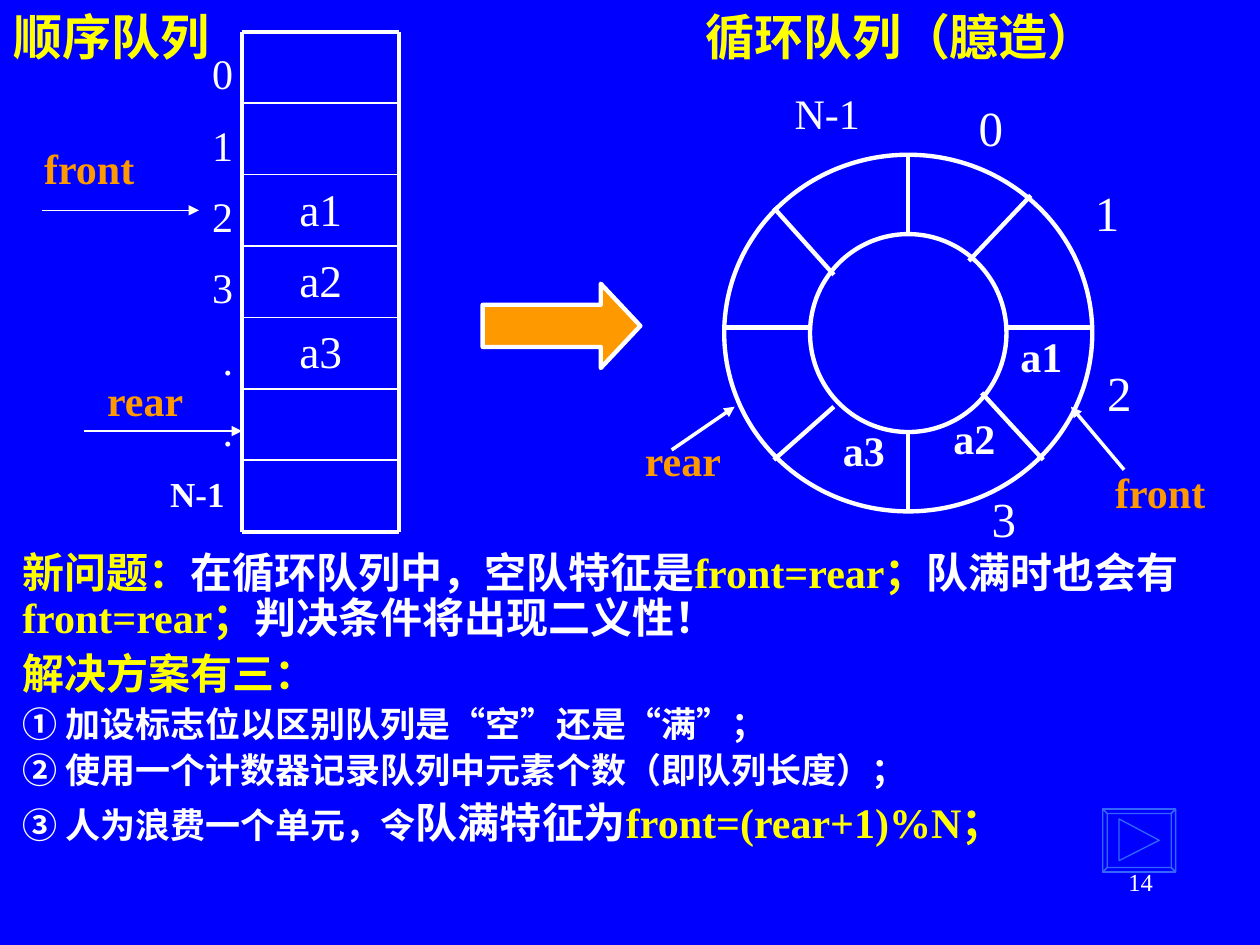
from lxml import etree
from pptx import Presentation
from pptx.dml.color import RGBColor
from pptx.enum.shapes import MSO_CONNECTOR, MSO_SHAPE
from pptx.enum.text import PP_ALIGN
from pptx.oxml.ns import qn
from pptx.util import Cm, Pt

BLUE = RGBColor(0x00, 0x00, 0xFF)
WHITE = RGBColor(0xFF, 0xFF, 0xFF)
YELLOW = RGBColor(0xFF, 0xFF, 0x00)
ORANGE = RGBColor(0xFF, 0x99, 0x00)
BUTTON = RGBColor(0x33, 0x66, 0xFF)
LATIN, CJK = "Times New Roman", "Noto Sans CJK SC"
STRAIGHT = MSO_CONNECTOR.STRAIGHT
LEFT, CENTER, RIGHT = PP_ALIGN.LEFT, PP_ALIGN.CENTER, PP_ALIGN.RIGHT

prs = Presentation()
prs.slide_width, prs.slide_height = Cm(25.4), Cm(19.05)
s = prs.slides.add_slide(prs.slide_layouts[6])
s.background.fill.solid()
s.background.fill.fore_color.rgb = BLUE


def add_text(x, y, w, h, text, size, color=WHITE, bold=False, align=LEFT, wrap=False):
    """Add a text box whose lines share one font; return its text frame."""
    tf = s.shapes.add_textbox(Cm(x), Cm(y), Cm(w), Cm(h)).text_frame
    tf.word_wrap = wrap
    tf.text = text
    for p in tf.paragraphs:
        p.alignment = align
        p.font.name, p.font.size, p.font.bold = LATIN, Pt(size), bold
        p.font.color.rgb = color
        etree.SubElement(p.font._element, qn("a:ea"), typeface=CJK)
    return tf


def add_line(x1, y1, x2, y2, width, arrow=False):
    """Add a straight white line, with an arrowhead at its end if wanted."""
    c = s.shapes.add_connector(STRAIGHT, Cm(x1), Cm(y1), Cm(x2), Cm(y2))
    c.line.color.rgb, c.line.width = WHITE, Pt(width)
    if arrow:
        etree.SubElement(c.line._get_or_add_ln(), qn("a:tailEnd"), type="triangle")
    etree.SubElement(c._element.spPr, qn("a:effectLst"))


# Page number
add_text(18.21, 17.35, 5.28, 1.27, "14", 14, align=RIGHT, wrap=True)

# Block arrow between the two queues
sp = s.shapes.add_shape(MSO_SHAPE.RIGHT_ARROW, Cm(9.73), Cm(5.72), Cm(3.18), Cm(1.7))
sp.adjustments[1] = 0.47
sp.shadow.inherit = False
sp.fill.solid()
sp.fill.fore_color.rgb = ORANGE
sp.line.color.rgb, sp.line.width = WHITE, Pt(2.5)

# Ring: elements, circles and spokes
for text, x, y in [("a3", 16.74, 8.43), ("a2", 18.97, 8.2), ("a1", 20.32, 6.53)]:
    add_text(x, y, 1.35, 1.27, text, 24, bold=True)
for x, y, w, h in [(16.33, 4.72, 3.96, 3.99), (14.6, 3.12, 7.42, 7.19)]:
    sp = s.shapes.add_shape(MSO_SHAPE.OVAL, Cm(x), Cm(y), Cm(w), Cm(h))
    sp.shadow.inherit = False
    sp.fill.background()
    sp.line.color.rgb, sp.line.width = WHITE, Pt(2.5)
spokes = [
    (20.29, 6.6, 22.02, 6.6), (14.6, 6.6, 16.33, 6.6),
    (18.31, 3.12, 18.31, 4.72), (18.31, 8.74, 18.31, 10.34),
    (15.6, 4.19, 16.81, 5.54), (19.79, 7.92, 21.03, 9.27),
    (20.78, 3.94, 19.53, 5.26), (16.81, 8.2, 15.6, 9.27),
]
for spoke in spokes:
    add_line(*spoke, 2.5)

# Ring: slot numbers and pointers
for i, (x, y) in enumerate([(19.48, 1.85), (21.82, 3.56), (22.07, 7.19), (19.74, 9.73)]):
    add_text(x, y, 0.99, 1.45, str(i), 28)
add_text(15.77, 1.63, 1.83, 1.27, "N-1", 24)
add_line(13.54, 9.07, 14.81, 8.2, 2, arrow=True)
add_line(22.66, 9.47, 21.59, 8.2, 2, arrow=True)
add_text(12.75, 8.64, 2.06, 1.27, "rear", 24, ORANGE, True)
add_text(22.23, 9.27, 2.34, 1.27, "front", 24, ORANGE, True)

# Headings
add_text(13.97, 0, 10.34, 1.45, "循环队列（臆造）", 28, YELLOW, True, wrap=True)
add_text(0.03, 0, 4.45, 1.45, "顺序队列", 28, YELLOW, True)

# Sequential queue: seven cells, three of them filled
x1, x2, top, row, rows = 4.88, 8.05, 0.64, 1.44, 7
bottom = top + rows * row
for i, text in enumerate(["a1", "a2", "a3"], start=2):
    add_text(x1, top + i * row, x2 - x1, row, text, 25.9, align=CENTER, wrap=True)
for i in range(rows + 1):
    y = top + i * row
    add_line(x1, y, x2, y, 2.25 if i in (0, rows) else 1)
for x in (x1, x2):
    add_line(x, top, x, bottom, 2.25)

# Sequential queue: pointers and indexes
add_line(1.7, 8.69, x1, 8.69, 0.75, arrow=True)
add_line(0.84, 4.24, 4.01, 4.24, 0.75, arrow=True)
add_text(0.64, 2.74, 2.34, 1.27, "front", 24, ORANGE, True)
add_text(1.91, 7.42, 2.06, 1.27, "rear", 24, ORANGE, True)
tf = add_text(3.18, 0.84, 1.91, 9.68, "0\n1\n2\n3\n.\n.\nN-1", 24, wrap=True)
for p, indent in zip(tf.paragraphs, [24, 24, 24, 24, 30, 30, 0]):
    pPr = p._p.get_or_add_pPr()
    pPr.set("marL", str(Pt(indent)))
    pPr.set("indent", "0")
for p in tf.paragraphs[1:]:
    p.space_before = Pt(12)
p = tf.paragraphs[-1]
p.space_before = Pt(10)
p.font.size, p.font.bold = Pt(20), True

# Problem and solutions: (space before, [(text, size, colour)])
body = [
    (0, [("新问题：", 24, YELLOW), ("在循环队列中，空队特征是", 24, WHITE),
         ("front=rear；", 24, YELLOW), ("队满时也会有", 24, WHITE),
         ("front=rear；", 24, YELLOW), ("判决条件将出现二义性！", 24, WHITE)]),
    (6, [("解决方案有三：", 24, YELLOW)]),
    (5, [("① 加设标志位以区别队列是“空”还是“满”；", 20, WHITE)]),
    (5, [("② 使用一个计数器记录队列中元素个数（即队列长度）；", 20, WHITE)]),
    (6, [("③ 人为浪费一个单元，令", 20, WHITE), ("队满特征为", 24, WHITE),
         ("front=(rear+1)%N；", 24, YELLOW)]),
]
lines = ["".join(text for text, _, _ in runs) for _, runs in body]
tf = add_text(0.2, 11, 25.2, 6.35, "\n".join(lines), 24, bold=True, wrap=True)
for p, (before, runs) in zip(tf.paragraphs, body):
    p.line_spacing, p.space_before = 0.9, Pt(before)
    p.runs[0].text = runs[0][0]
    for text, _, _ in runs[1:]:
        p.add_run().text = text
    for r, (_, size, color) in zip(p.runs, runs):
        r.font.size, r.font.color.rgb = Pt(size), color

# Bevelled button with a play triangle
l, t, rt, b, d = 22.23, 16.31, 23.7, 17.58, 0.09
outer = [(l, t), (rt, t), (rt, b), (l, b)]
inner = [(l + d, t + d), (rt - d, t + d), (rt - d, b - d), (l + d, b - d)]
contours = [outer, [(22.56, 16.51), (23.37, 16.94), (22.56, 17.35)]]
for i in range(4):
    j = (i + 1) % 4
    contours.append([outer[i], outer[j], inner[j], inner[i]])
fb = s.shapes.build_freeform(Cm(l), Cm(t))
for contour in contours:
    points = [(Cm(x), Cm(y)) for x, y in contour]
    fb.move_to(*points[0])
    fb.add_line_segments(points[1:], close=True)
sp = fb.convert_to_shape()
sp.shadow.inherit = False
sp.fill.background()
sp.line.color.rgb, sp.line.width = BUTTON, Pt(0.75)

prs.save("out.pptx")
